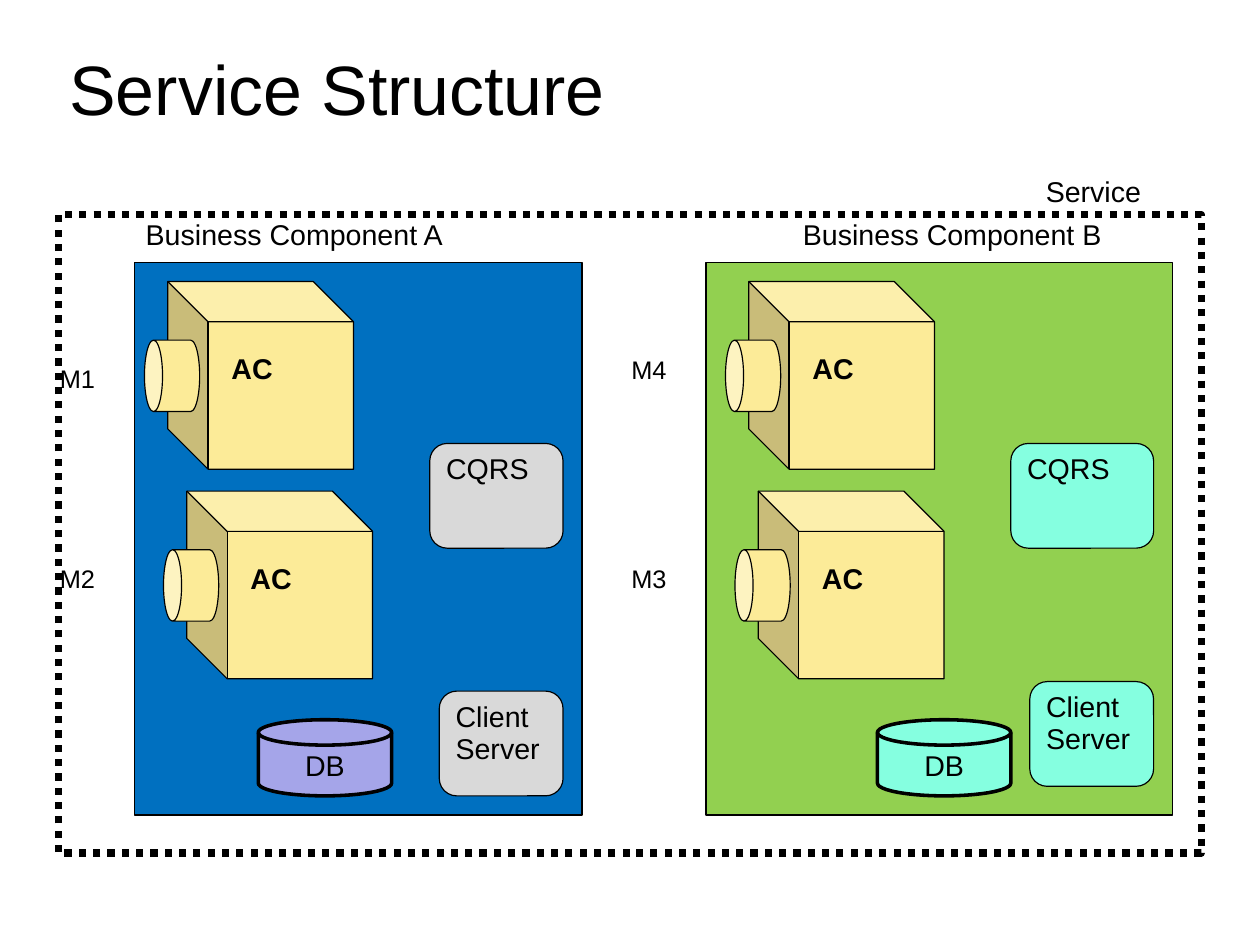
from pptx import Presentation, util as u
from pptx.dml.color import RGBColor
from pptx.enum import dml, shapes, text

CELL = 1 / 12
LEFT, TOP = 0.51, 1.88
BLACK, CREAM = "000000", "FCEB98"
KIND = shapes.MSO_SHAPE
ALIGN = text.PP_ALIGN
ANCHOR = text.MSO_ANCHOR


def rgb(value):
    return RGBColor.from_string(value)


def place(col, row, cols, rows):
    return [u.Inches(v) for v in (LEFT + col * CELL, TOP + row * CELL,
                                  cols * CELL, rows * CELL)]


def write(sp, words, size=18, bold=False, align=ALIGN.LEFT,
          anchor=ANCHOR.TOP, wrap=True, spacing=0.93):
    tf = sp.text_frame
    tf.word_wrap = wrap
    tf.vertical_anchor = anchor
    p = tf.paragraphs[0]
    p.alignment = align
    p.line_spacing = spacing
    r = p.add_run()
    r.text = words
    r.font.name = "Arial"
    r.font.size = u.Pt(size)
    r.font.bold = bold
    r.font.color.rgb = rgb(BLACK)


def label(s, words, box, **style):
    write(s.shapes.add_textbox(*place(*box)), words, **style)


def block(s, kind, box, fill=None, line=0.75):
    sp = s.shapes.add_shape(kind, *place(*box))
    sp.shadow.inherit = False
    if fill:
        sp.fill.solid()
        sp.fill.fore_color.rgb = rgb(fill)
    else:
        sp.fill.background()
    sp.line.color.rgb = rgb(BLACK)
    sp.line.width = u.Pt(line)
    return sp


def service_frame(s):
    sp = block(s, KIND.RECTANGLE, (0, 0, 120, 67), line=4.5)
    sp.line.dash_style = dml.MSO_LINE.ROUND_DOT
    label(s, "Service", (102.5, -4.6, 12.5, 4.6), wrap=False)


def component(s, name, name_col, col, cols, fill):
    block(s, KIND.RECTANGLE, (col, 5, cols, 58), fill)
    label(s, name, (name_col, 0, 33.8, 4.6), wrap=False)


def application(s, col, row):
    cube = block(s, KIND.CUBE, (col, row, 19.5, 19.7), CREAM)
    cube.adjustments[0] = 0.217
    cube._element.spPr.xfrm.set("flipH", "1")
    can = block(s, KIND.CAN, (col - 3.3, row + 7, 7.5, 5.8), CREAM)
    can.adjustments[0] = 0.328
    can.rotation = 270
    label(s, "AC", (col + 5.5, row + 6.7, 12.5, 4.8), bold=True,
          anchor=ANCHOR.MIDDLE, spacing=1.0)


def module(s, name, col, row):
    label(s, name, (col, row, 10, 4.2), size=16, align=ALIGN.CENTER)


def database(s, col, fill):
    sp = block(s, KIND.FLOWCHART_MAGNETIC_DISK, (col, 53, 14, 8), fill, 2.25)
    write(sp, "DB", align=ALIGN.CENTER)


def pattern(s, name, col, row, cols, fill):
    write(block(s, KIND.ROUNDED_RECTANGLE, (col, row, cols, 11), fill), name)


def main():
    prs = Presentation()
    prs.slide_width, prs.slide_height = u.Cm(28), u.Cm(21)
    s = prs.slides.add_slide(prs.slide_layouts[6])

    label(s, "Service Structure", (0, -17.7, 126, 9.5), size=44,
          anchor=ANCHOR.MIDDLE, spacing=0.96)
    service_frame(s)
    component(s, "Business Component A", 8, 8, 47, "0070C0")
    component(s, "Business Component B", 77, 68, 49, "92D050")

    database(s, 21, "A5A5E9")
    database(s, 86, "85FFE0")

    for name, name_col, name_row, col, row in (
            ("M1", -3, 15.3, 11.5, 7), ("M2", -3, 36.3, 13.5, 29),
            ("M4", 57, 14.3, 72.5, 7), ("M3", 57, 36.3, 73.5, 29)):
        application(s, col, row)
        module(s, name, name_col, name_row)

    for name, col, row, cols, fill in (
            ("CQRS", 39, 24, 14, "D9D9D9"),
            ("Client Server", 40, 50, 13, "D9D9D9"),
            ("CQRS", 100, 24, 15, "85FFE0"),
            ("Client Server", 102, 49, 13, "85FFE0")):
        pattern(s, name, col, row, cols, fill)

    prs.save("out.pptx")


if __name__ == "__main__":
    main()
